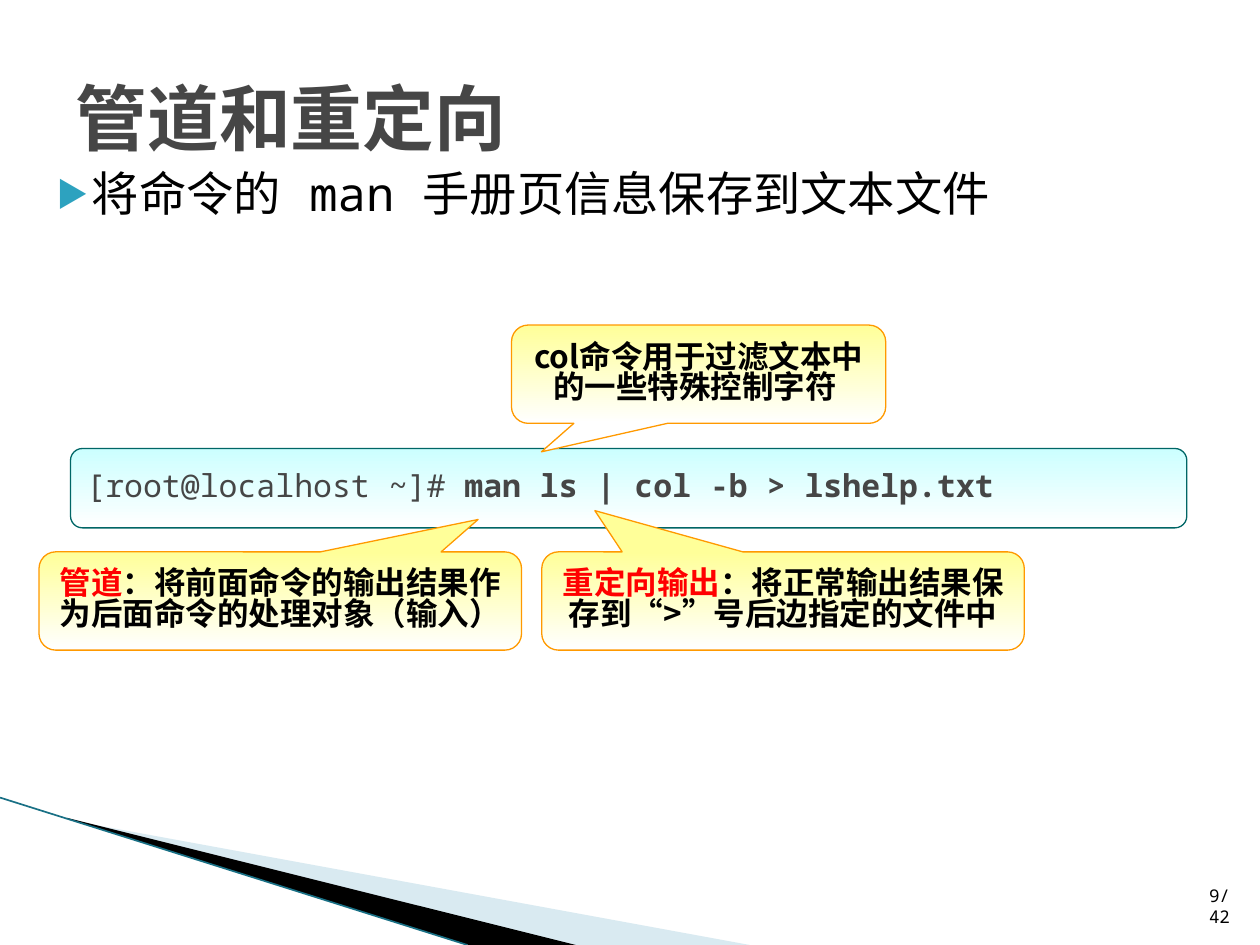
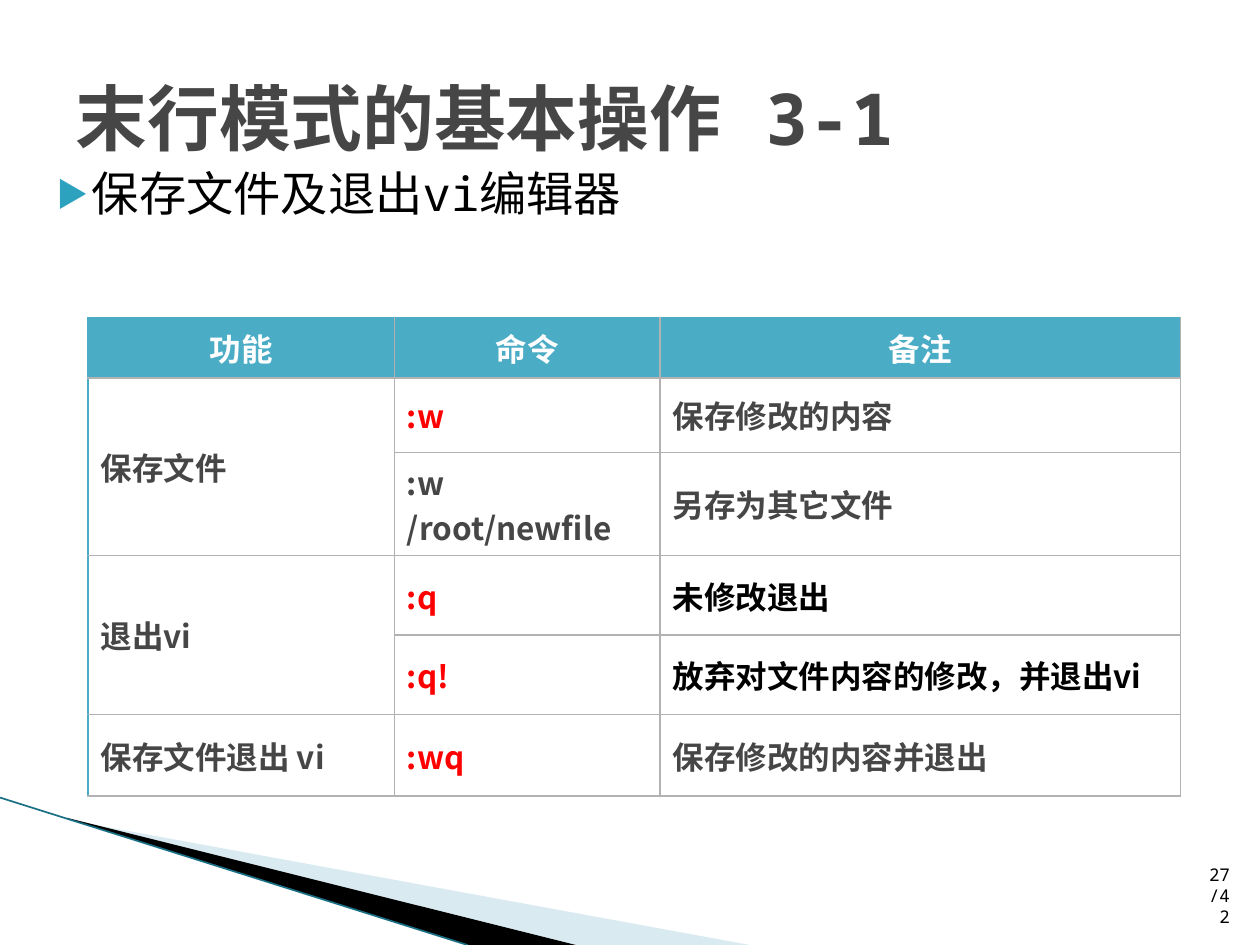
import dataclasses

import lxml.etree
import pptx
import pptx.dml.color
import pptx.enum.shapes
import pptx.enum.text
import pptx.oxml.ns
import pptx.util


@dataclasses.dataclass(frozen=True)
class Theme:
    mono: str = "Noto Sans Mono"
    sans: str = "Noto Sans CJK SC"
    title_size: int = 41
    body_size: int = 27
    text_size: int = 18
    number_size: int = 10
    black: str = "000000"
    white: str = "FFFFFF"
    gray: str = "464646"
    red: str = "FF0000"
    bullet: str = "2DA2BF"
    pale_band: str = "A0CBDC"
    band_line: str = "197085"
    code_fill: str = "CCFFFF"
    code_line: str = "006666"
    callout_fill: str = "FFFF99"
    callout_line: str = "FF9900"
    header: str = "4BACC6"
    grid: str = "B2B2B2"


theme = Theme()
PX = 9144
RGB = pptx.dml.color.RGBColor.from_string
Pt = pptx.util.Pt
qn = pptx.oxml.ns.qn
ALIGN = pptx.enum.text.PP_ALIGN
ANCHOR = pptx.enum.text.MSO_ANCHOR
SHAPE = pptx.enum.shapes.MSO_SHAPE


def write(paragraph, text, font=theme.sans, size=theme.text_size, color=theme.black,
          bold=True, align=ALIGN.LEFT, line_spacing=None, space_before=0):
    paragraph.alignment = align
    paragraph.space_before = Pt(space_before)
    if line_spacing:
        paragraph.line_spacing = line_spacing
    run = paragraph.add_run()
    run.text = text
    run.font.name = font
    run.font.size = Pt(size)
    run.font.bold = bold
    run.font.color.rgb = RGB(color)
    east_asian = lxml.etree.SubElement(run.font._element, qn("a:ea"))
    east_asian.set("typeface", font)


def add_box(slide, kind, box, adjustments, fill, line, anchor):
    shape = slide.shapes.add_shape(kind, *[PX * value for value in box])
    shape.shadow.inherit = False
    for index, value in enumerate(adjustments):
        shape.adjustments[index] = value
    shape.fill.gradient()
    shape.fill.gradient_angle = 270
    for stop, color in zip(shape.fill.gradient_stops, (fill, theme.white)):
        stop.color.rgb = RGB(color)
    shape.line.color.rgb = RGB(line)
    shape.line.width = Pt(0.75)
    shape.text_frame.word_wrap = True
    shape.text_frame.vertical_anchor = anchor
    return shape.text_frame.paragraphs[0]


presentation = pptx.Presentation()
presentation.slide_width = 1000 * PX
presentation.slide_height = 750 * PX

pages = [
    ("管道和重定向", "将命令的 man 手册页信息保存到文本文件", "9/42"),
    ("末行模式的基本操作 3-1", "保存文件及退出vi编辑器", "27/42"),
]
bands = [
    ([(55, 651), (595, 750), (456, 750), (55, 650)], theme.pale_band, 40),
    ([(53, 649), (457, 750), (372, 750), (54, 650)], theme.black, 100),
]

for title_text, body_text, number_text in pages:
    slide = presentation.slides.add_slide(presentation.slide_layouts[1])

    for points, color, opacity in bands:
        builder = slide.shapes.build_freeform(*points[0], scale=PX)
        builder.add_line_segments(points[1:], close=True)
        band = builder.convert_to_shape()
        band.shadow.inherit = False
        band.fill.solid()
        band.fill.fore_color.rgb = RGB(color)
        band.line.fill.background()
        if opacity < 100:
            color_element = band._element.spPr.find(".//" + qn("a:srgbClr"))
            alpha = lxml.etree.SubElement(color_element, qn("a:alpha"))
            alpha.set("val", str(opacity * 1000))

    edge = slide.shapes.add_connector(
        pptx.enum.shapes.MSO_CONNECTOR.STRAIGHT, 0, 633 * PX, 371 * PX, 750 * PX)
    edge.line.color.rgb = RGB(theme.band_line)
    edge.line.width = Pt(0.95)
    lxml.etree.SubElement(edge._element.spPr, qn("a:effectLst"))

    title = slide.shapes.title
    body = slide.placeholders[1]
    for placeholder, box in ((title, (50, 30, 900, 125)), (body, (23, 125, 930, 562))):
        placeholder.left, placeholder.top, placeholder.width, placeholder.height = [
            PX * value for value in box]
    title.text_frame.vertical_anchor = ANCHOR.MIDDLE
    write(title.text_frame.paragraphs[0], title_text, font=theme.mono,
          size=theme.title_size, color=theme.gray)

    paragraph = body.text_frame.paragraphs[0]
    write(paragraph, body_text, font=theme.mono, size=theme.body_size, bold=False,
          space_before=6.8)
    properties = paragraph._p.get_or_add_pPr()
    properties.set("marL", str(40 * PX))
    properties.set("indent", str(-28 * PX))
    bullet_color = lxml.etree.SubElement(properties, qn("a:buClr"))
    lxml.etree.SubElement(bullet_color, qn("a:srgbClr")).set("val", theme.bullet)
    lxml.etree.SubElement(properties, qn("a:buSzPct")).set("val", "68000")
    lxml.etree.SubElement(properties, qn("a:buFont")).set("typeface", theme.sans)
    lxml.etree.SubElement(properties, qn("a:buChar")).set("char", "▶")

    number = slide.shapes.add_textbox(946 * PX, 701 * PX, 40 * PX, 40 * PX)
    number.text_frame.word_wrap = True
    number.text_frame.vertical_anchor = ANCHOR.BOTTOM
    write(number.text_frame.paragraphs[0], number_text, font=theme.mono,
          size=theme.number_size, bold=False, align=ALIGN.RIGHT)

pipe_slide, vi_slide = presentation.slides

command = add_box(pipe_slide, SHAPE.ROUNDED_RECTANGLE, (56, 356, 886, 63), [0.15],
                  theme.code_fill, theme.code_line, ANCHOR.TOP)
for text, bold in (("[root@localhost ~]# ", False), ("man ls | col -b > lshelp.txt", True)):
    write(command, text, font=theme.mono, color=theme.gray, bold=bold,
          line_spacing=1.2, space_before=3.6)
command_properties = command._p.get_or_add_pPr()
command_properties.set("marL", str(38 * PX))
command_properties.set("indent", str(-38 * PX))

callouts = [
    ((406, 258, 297, 78), (-0.42, 0.79), "", "col命令用于过滤文本中的一些特殊控制字符 "),
    ((31, 438, 383, 78), (0.41, -0.83), "管道",
     "：将前面命令的输出结果作为后面命令的处理对象（输入） "),
    ((430, 438, 383, 78), (-0.39, -0.92), "重定向输出",
     "：将正常输出结果保存到“>”号后边指定的文件中"),
]
for box, tip, term, explanation in callouts:
    callout = add_box(pipe_slide, SHAPE.ROUNDED_RECTANGULAR_CALLOUT, box, (*tip, 0.17),
                      theme.callout_fill, theme.callout_line, ANCHOR.MIDDLE)
    for text, color in ((term, theme.red), (explanation, theme.black)):
        if text:
            write(callout, text, color=color, align=ALIGN.CENTER, line_spacing=0.8)

column_widths = [243, 211, 413]
row_heights = [48, 59, 82, 63, 63, 65]
rows = [
    ("功能", "命令", "备注"),
    ("保存文件", ":w", "保存修改的内容"),
    ("", ":w /root/newfile", "另存为其它文件"),
    ("退出vi", ":q", "未修改退出"),
    ("", ":q!", "放弃对文件内容的修改，并退出vi"),
    ("保存文件退出 vi", ":wq", "保存修改的内容并退出"),
]
special_colors = {(row, 1): theme.red for row in (1, 3, 4, 5)}
special_colors.update({(row, 2): theme.black for row in (3, 4)})

table = vi_slide.shapes.add_table(
    len(rows), len(column_widths), 70 * PX, 252 * PX,
    sum(column_widths) * PX, sum(row_heights) * PX).table
table.first_row = False
table.horz_banding = False
for column, width in zip(table.columns, column_widths):
    column.width = width * PX
for row, height in zip(table.rows, row_heights):
    row.height = height * PX
for first_row in (1, 3):
    table.cell(first_row, 0).merge(table.cell(first_row + 1, 0))

for row_index, texts in enumerate(rows):
    for column_index, text in enumerate(texts):
        cell = table.cell(row_index, column_index)
        cell.vertical_anchor = ANCHOR.MIDDLE
        is_header = row_index == 0
        if is_header:
            cell.fill.solid()
            cell.fill.fore_color.rgb = RGB(theme.header)
        else:
            cell.fill.background()
        if text:
            color = special_colors.get((row_index, column_index), theme.gray)
            write(cell.text_frame.paragraphs[0], text,
                  color=theme.white if is_header else color,
                  align=ALIGN.CENTER if is_header else ALIGN.LEFT)
        side_colors = {
            "L": theme.header if column_index == 0 else theme.grid,
            "R": theme.grid,
            "T": theme.header if is_header else theme.grid,
            "B": theme.grid,
        }
        cell_properties = cell._tc.get_or_add_tcPr()
        for position, (side, color) in enumerate(side_colors.items()):
            border = lxml.etree.Element(qn("a:ln" + side), w=str(Pt(1)))
            border_fill = lxml.etree.SubElement(border, qn("a:solidFill"))
            lxml.etree.SubElement(border_fill, qn("a:srgbClr")).set("val", color)
            cell_properties.insert(position, border)

presentation.save("out.pptx")
